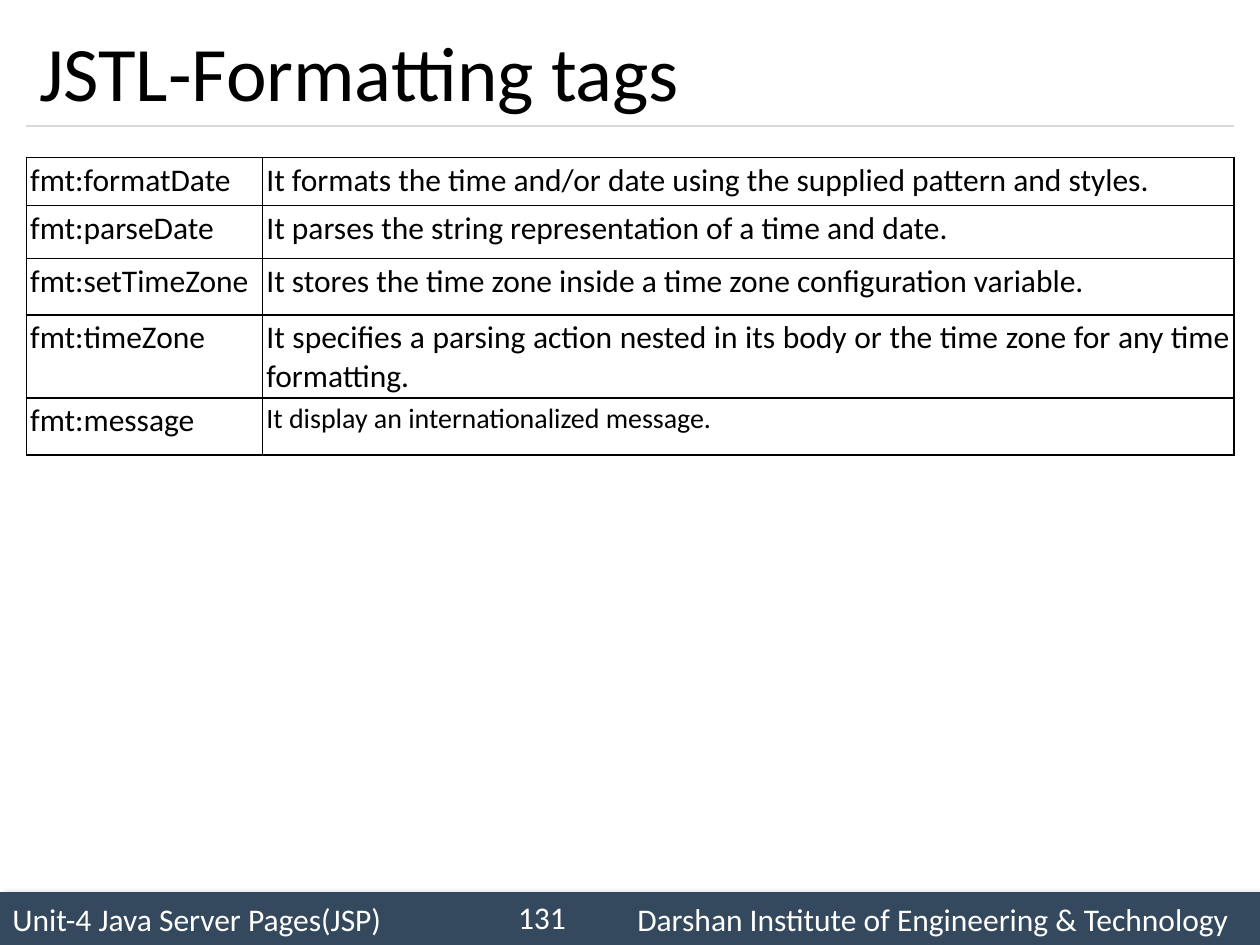
from dataclasses import dataclass

from lxml.etree import SubElement
from pptx import Presentation
from pptx.dml.color import RGBColor
from pptx.enum.shapes import MSO_CONNECTOR, MSO_SHAPE
from pptx.enum.text import MSO_ANCHOR, PP_ALIGN
from pptx.oxml import parse_xml
from pptx.oxml.ns import nsdecls, qn
from pptx.util import Inches, Pt


@dataclass(frozen=True)
class Theme:
    font: str = "Calibri"
    ink: str = "000000"
    paper: str = "FFFFFF"
    band: str = "34495E"
    rule: str = "D9D9D9"
    title_size: int = 44
    body_size: int = 18
    small_size: int = 16
    cell_inset: float = 0.3


class SlideBuilder:
    """Places elements on a grid of 100 columns by 75 rows."""

    def __init__(self, deck, theme):
        self.theme = theme
        self.column = deck.slide_width / 100
        self.row = deck.slide_height / 75
        self.page = deck.slides.add_slide(deck.slide_layouts[5])

    def area(self, left, top, width, height):
        return (round(left * self.column), round(top * self.row),
                round(width * self.column), round(height * self.row))

    def set_text(self, frame, text, size, color, align=PP_ALIGN.LEFT):
        frame.text = text
        para = frame.paragraphs[0]
        para.alignment = align
        for span in para.runs:
            span.font.name = self.theme.font
            span.font.size = Pt(size)
            span.font.color.rgb = RGBColor.from_string(color)
        return para

    def title(self, text, *place):
        box = self.page.shapes.title
        box.left, box.top, box.width, box.height = self.area(*place)
        box.text_frame.vertical_anchor = MSO_ANCHOR.MIDDLE
        self.set_text(box.text_frame, text, self.theme.title_size, self.theme.ink)

    def rule(self, left, top, width):
        x, y, length, _ = self.area(left, top, width, 0)
        line = self.page.shapes.add_connector(
            MSO_CONNECTOR.STRAIGHT, x, y, x + length, y)
        line.line.color.rgb = RGBColor.from_string(self.theme.rule)
        line.line.width = Pt(0.75)
        SubElement(line._element.spPr, qn("a:effectLst"))

    def footer(self, left_text, right_text, tab, *place):
        band = self.page.shapes.add_shape(MSO_SHAPE.RECTANGLE, *self.area(*place))
        band.fill.solid()
        band.fill.fore_color.rgb = RGBColor.from_string(self.theme.band)
        band.line.fill.background()
        band._element.spPr.append(parse_xml(
            f'<a:effectLst {nsdecls("a")}><a:outerShdw blurRad="{Pt(4)}" '
            f'dist="{Pt(3)}" dir="2700000"><a:srgbClr val="{self.theme.ink}">'
            '<a:alpha val="40000"/></a:srgbClr></a:outerShdw></a:effectLst>'))
        frame = band.text_frame
        frame.vertical_anchor = MSO_ANCHOR.MIDDLE
        para = self.set_text(frame, f"{left_text}\t{right_text}",
                             self.theme.body_size, self.theme.paper)
        tabs = SubElement(para._p.get_or_add_pPr(), qn("a:tabLst"))
        SubElement(tabs, qn("a:tab"), pos=str(round(tab * self.column)), algn="l")

    def page_number(self, text, *place):
        box = self.page.shapes.add_textbox(*self.area(*place))
        box.text_frame.word_wrap = True
        box.text_frame.vertical_anchor = MSO_ANCHOR.MIDDLE
        self.set_text(box.text_frame, text, self.theme.body_size,
                      self.theme.paper, PP_ALIGN.RIGHT)

    def border(self, cell):
        properties = cell._tc.get_or_add_tcPr()
        for index, side in enumerate(("lnL", "lnR", "lnT", "lnB")):
            properties.insert(index, parse_xml(
                f'<a:{side} {nsdecls("a")} w="{Pt(1)}"><a:solidFill>'
                f'<a:srgbClr val="{self.theme.ink}"/></a:solidFill></a:{side}>'))

    def tag_table(self, left, top, widths, height, entries):
        """One-row table; entries are (text, size) pairs."""
        table = self.page.shapes.add_table(
            1, len(entries), *self.area(left, top, sum(widths), height)).table
        table.first_row = table.horz_banding = False
        inset = round(self.theme.cell_inset * self.column)
        for index, (text, size) in enumerate(entries):
            table.columns[index].width = round(widths[index] * self.column)
            cell = table.cell(0, index)
            cell.margin_left = cell.margin_right = inset
            cell.margin_top = cell.margin_bottom = inset
            cell.fill.background()
            self.border(cell)
            self.set_text(cell.text_frame, text, size, self.theme.ink,
                          PP_ALIGN.JUSTIFY)


def main():
    deck = Presentation()
    deck.slide_width, deck.slide_height = Inches(10), Inches(7.5)
    theme = Theme()
    slide = SlideBuilder(deck, theme)
    margin, content_width = 2.1, 95.8

    # Footer band and page number
    slide.footer("Unit-4 Java Server Pages(JSP)",
                 "Darshan Institute of Engineering & Technology",
                 49.6, 0, 70.8, 100, 4.2)
    slide.page_number("131", 39.2, 70.8, 6.7, 4)

    # Title and the rule under it
    slide.title("JSTL-Formatting tags", margin, 1.2, content_width, 8.8)
    slide.rule(margin, 10, content_width)

    # Stacked tables, one for each tag
    tags = [
        ("fmt:formatDate", "It formats the time and/or date using the supplied "
         "pattern and styles.", theme.body_size, 3.8),
        ("fmt:parseDate", "It parses the string representation of a time and date.",
         theme.body_size, 4.2),
        ("fmt:setTimeZone", "It stores the time zone inside a time zone "
         "configuration variable.", theme.body_size, 4.5),
        ("fmt:timeZone", "It specifies a parsing action nested in its body or the "
         "time zone for any time formatting.", theme.body_size, 6.6),
        ("fmt:message", "It display an internationalized message.",
         theme.small_size, 4.5),
    ]
    top = 12.5
    for name, meaning, size, height in tags:
        slide.tag_table(margin, top, (18.75, 77.1), height,
                        [(name, theme.body_size), (meaning, size)])
        top += height

    deck.save("out.pptx")


if __name__ == "__main__":
    main()
